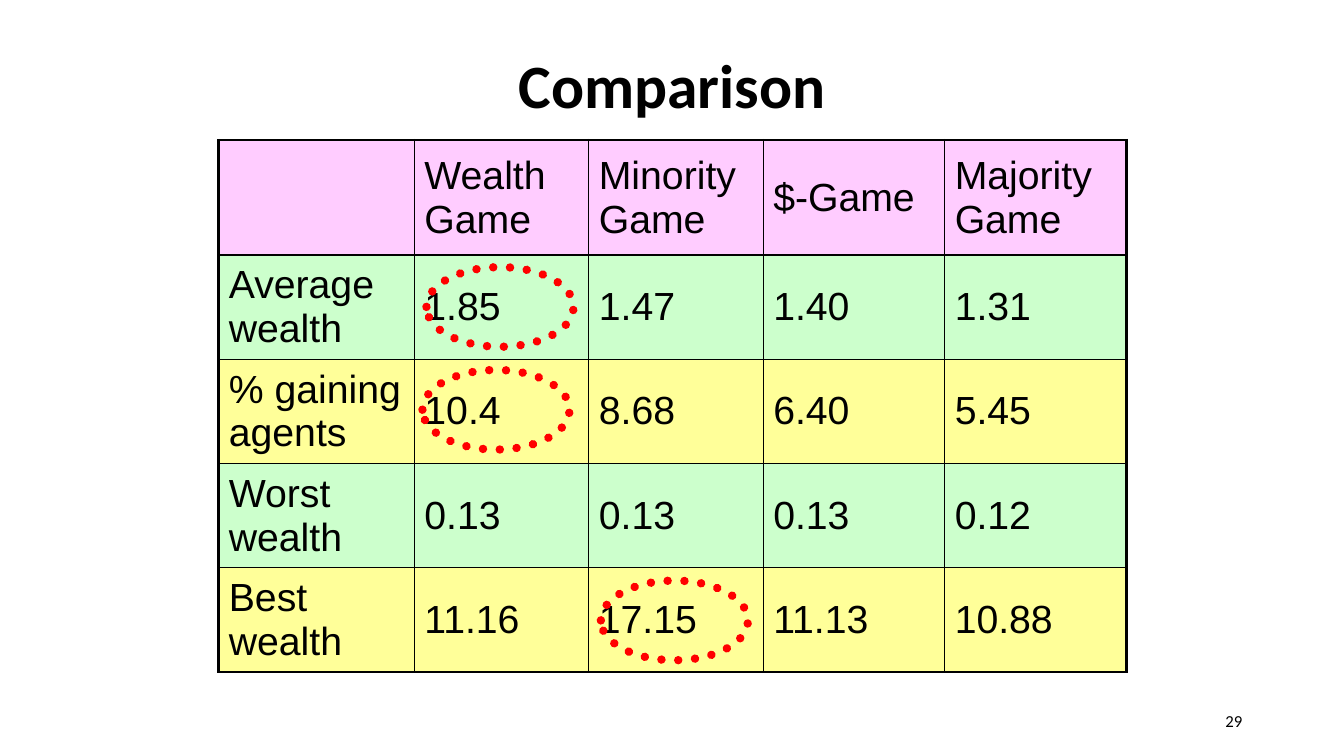
from lxml import etree
from pptx import Presentation
from pptx import util as u
from pptx.dml.color import RGBColor
from pptx.enum import dml, shapes, text
from pptx.oxml import ns

TITLE = "Comparison"
PAGE_NUMBER = "29"
ROWS = [
    ("", "Wealth Game", "Minority Game", "$-Game", "Majority Game"),
    ("Average wealth", "1.85", "1.47", "1.40", "1.31"),
    ("% gaining agents", "10.4", "8.68", "6.40", "5.45"),
    ("Worst wealth", "0.13", "0.13", "0.13", "0.12"),
    ("Best wealth", "11.16", "17.15", "11.13", "10.88"),
]
COLUMN_WIDTHS = [1.94, 1.73, 1.73, 1.8, 1.8]
ROW_HEIGHTS = [1.14] + [1.03] * 4
TABLE_LEFT, TABLE_TOP = 2.17, 1.39
HIGHLIGHTS = [(4.23, 2.65), (4.19, 3.67), (5.96, 5.76)]
HIGHLIGHT_SIZE = (1.46, 0.79)

THEME = {
    "ink": "000000",
    "highlight": "FF0000",
    "header": "FFCCFF",
    "bands": ("CCFFCC", "FFFF99"),
    "title_font": "Calibri",
    "table_font": "Arial",
    "title_size": 44,
    "table_size": 28,
    "page_size": 12,
    "outer_line": 2.25,
    "inner_line": 1,
    "highlight_line": 6,
}


def set_font(paragraph, name, size, bold=False):
    paragraph.font.name = name
    paragraph.font.size = u.Pt(size)
    paragraph.font.bold = bold
    paragraph.font.color.rgb = RGBColor.from_string(THEME["ink"])


def add_label(slide, box, label, size, alignment, bold=False):
    shape = slide.shapes.add_textbox(*map(u.Inches, box))
    frame = shape.text_frame
    frame.word_wrap = True
    frame.vertical_anchor = text.MSO_ANCHOR.MIDDLE
    paragraph = frame.paragraphs[0]
    paragraph.text = label
    paragraph.alignment = alignment
    set_font(paragraph, THEME["title_font"], size, bold)
    return paragraph


def set_borders(cell, outer_sides):
    properties = cell._tc.get_or_add_tcPr()
    for side, is_outer in outer_sides.items():
        points = THEME["outer_line" if is_outer else "inner_line"]
        line = etree.SubElement(properties, ns.qn(f"a:ln{side}"), w=str(u.Pt(points)))
        fill = etree.SubElement(line, ns.qn("a:solidFill"))
        etree.SubElement(fill, ns.qn("a:srgbClr"), val=THEME["ink"])


def add_comparison_table(slide):
    size = (sum(COLUMN_WIDTHS), sum(ROW_HEIGHTS))
    frame = slide.shapes.add_table(
        len(ROWS), len(COLUMN_WIDTHS), *map(u.Inches, (TABLE_LEFT, TABLE_TOP, *size))
    )
    table = frame.table
    for column, width in zip(table.columns, COLUMN_WIDTHS):
        column.width = u.Inches(width)
    for row, height in zip(table.rows, ROW_HEIGHTS):
        row.height = u.Inches(height)
    for i, values in enumerate(ROWS):
        color = THEME["bands"][(i - 1) % 2] if i else THEME["header"]
        for j, value in enumerate(values):
            cell = table.cell(i, j)
            set_borders(cell, {
                "L": j == 0,
                "R": j == len(values) - 1,
                "T": i == 0,
                "B": i == len(ROWS) - 1,
            })
            cell.fill.solid()
            cell.fill.fore_color.rgb = RGBColor.from_string(color)
            cell.vertical_anchor = text.MSO_ANCHOR.MIDDLE
            cell.text = value
            set_font(cell.text_frame.paragraphs[0], THEME["table_font"], THEME["table_size"])


def add_highlight(slide, position):
    shape = slide.shapes.add_shape(
        shapes.MSO_SHAPE.OVAL, *map(u.Inches, (*position, *HIGHLIGHT_SIZE))
    )
    shape.shadow.inherit = False
    shape.fill.background()
    shape.line.color.rgb = RGBColor.from_string(THEME["highlight"])
    shape.line.width = u.Pt(THEME["highlight_line"])
    shape.line.dash_style = dml.MSO_LINE.ROUND_DOT
    shape.line._get_or_add_ln().set("cap", "rnd")


def main():
    presentation = Presentation()
    presentation.slide_width = u.Inches(13.33)
    presentation.slide_height = u.Inches(7.5)
    slide = presentation.slides.add_slide(presentation.slide_layouts[6])
    title = add_label(slide, (2.17, 0.13, 9, 1.5), TITLE, THEME["title_size"],
                      text.PP_ALIGN.CENTER, bold=True)
    title.line_spacing = 0.9
    add_comparison_table(slide)
    for position in HIGHLIGHTS:
        add_highlight(slide, position)
    add_label(slide, (9.42, 6.95, 3, 0.4), PAGE_NUMBER, THEME["page_size"],
              text.PP_ALIGN.RIGHT)
    presentation.save("out.pptx")


if __name__ == "__main__":
    main()
